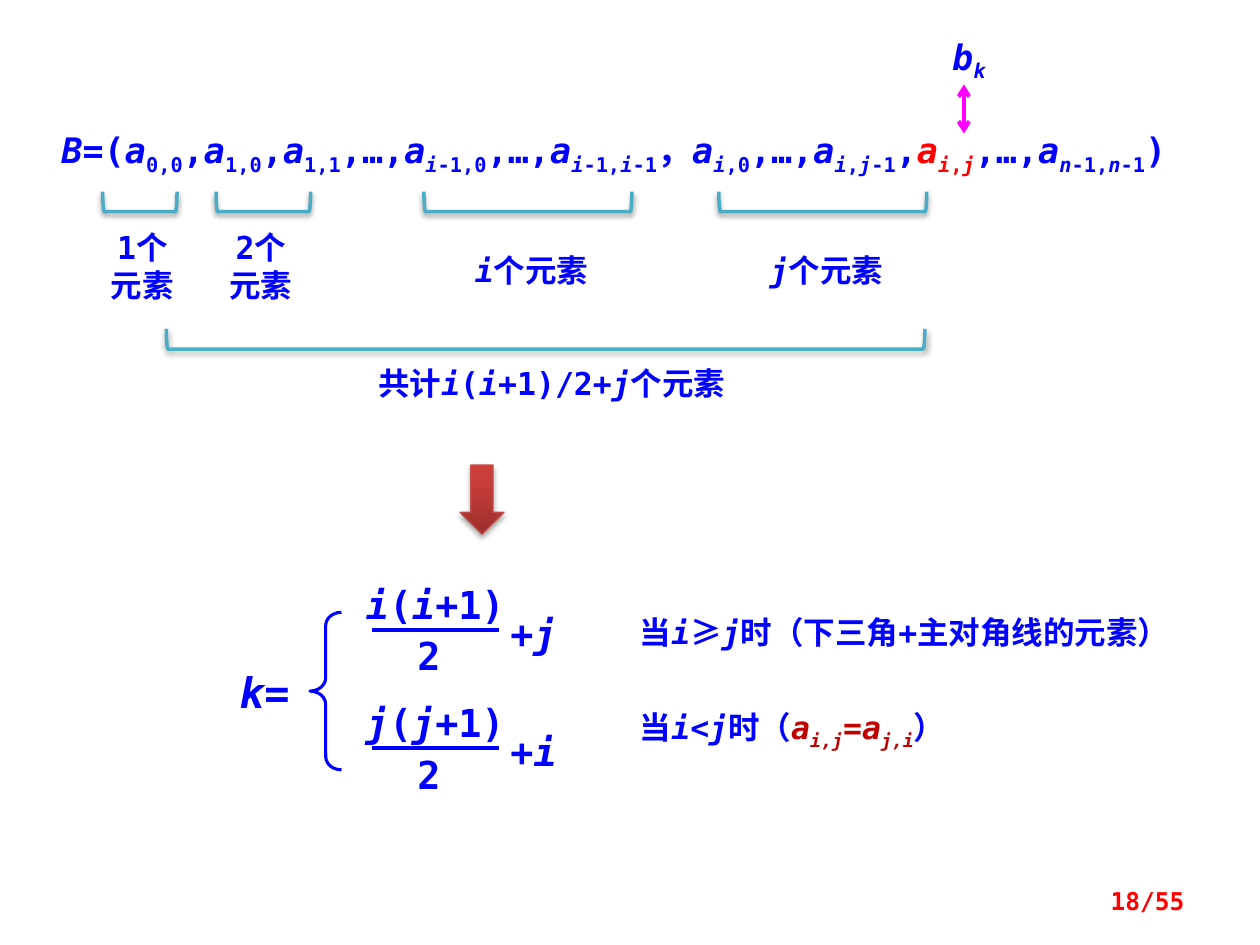
from itertools import groupby

from lxml import etree
from pptx import Presentation
from pptx.dml.color import RGBColor
from pptx.enum import shapes, text
from pptx.oxml.ns import qn
from pptx.util import Inches, Pt

MONO, CJK = "DejaVu Sans Mono", "Noto Sans CJK SC"
COLORS = {
    "blue": "0000FF", "red": "FF0000", "dark": "C00000", "pink": "FF00FF",
    "teal": "4BACC6", "edge": "BF4C48", "low": "9C2F2D", "high": "CB3E3A",
}
RGB = {name: RGBColor.from_string(code) for name, code in COLORS.items()}
ALIGN = text.PP_ALIGN

deck = Presentation()
deck.slide_width, deck.slide_height = Inches(10), Inches(7.5)
slide = deck.slides.add_slide(deck.slide_layouts[6])
items = slide.shapes


def write(left, top, width, height, size, mark, align=ALIGN.LEFT,
          color="blue", accent="red", inset=True):
    """Add a text box; in mark, * flips italic, _ subscript and ~ the accent."""
    box = items.add_textbox(Inches(left), Inches(top), Inches(width), Inches(height))
    frame = box.text_frame
    frame.word_wrap = True
    if not inset:
        frame.margin_left = frame.margin_right = 0
        frame.margin_top = frame.margin_bottom = 0
    for num, line in enumerate(mark.split("\n")):
        para = frame.add_paragraph() if num else frame.paragraphs[0]
        para.alignment = align
        state = set()
        for flips, chars in groupby(line, lambda char: char in "*_~"):
            if flips:
                state ^= set(chars)
                continue
            run = para.add_run()
            run.text = "".join(chars)
            font = run.font
            font.size, font.bold, font.italic = Pt(size), True, "*" in state
            font.color.rgb = RGB[accent if "~" in state else color]
            font.name = CJK if run.text == "≥" else MONO
            props = run.font._element
            etree.SubElement(props, qn("a:ea")).set("typeface", CJK)
            if "_" in state:
                props.set("baseline", "-25000")
    return box


def shade(shape, alpha, dist):
    """Cast a soft shadow straight down."""
    shape.shadow.inherit = False
    effects = shape._element.spPr.find(qn("a:effectLst"))
    cast = etree.SubElement(effects, qn("a:outerShdw"), blurRad=str(Pt(3.1)),
                            dist=str(Pt(dist)), dir="5400000", rotWithShape="0")
    black = etree.SubElement(cast, qn("a:srgbClr"), val="000000")
    etree.SubElement(black, qn("a:alpha"), val=str(alpha * 1000))


# Sequence B and the entry that b_k stands for
write(0.39, 0.97, 9.45, 0.44, 20,
      "*B*=(*a*_0,0_,*a*_1,0_,*a*_1,1_,…,*a_i*-1,0_,…,*a_i*-1,*i*-1_，"
      "*a_i*,0_,…,*a_i*,*j*-1_,~*a_i*,*j*_~,…,*a_n*-1,*n*-1_)")
write(7.34, 0.23, 0.7, 0.44, 20, "*b_k*", ALIGN.CENTER)

# Brackets (centre x, centre y, span) with labels (centre x, top, width, height)
DEPTH = 0.16
groups = [
    (1.11, 1.6, 0.59, 1.13, 1.76, 0.86, 0.71, "1个\n元素"),
    (2.09, 1.6, 0.75, 2.07, 1.76, 0.86, 0.71, "2个\n元素"),
    (4.19, 1.6, 1.65, 4.22, 1.94, 1.41, 0.4, "*i*个元素"),
    (6.53, 1.6, 1.65, 6.56, 1.94, 1.41, 0.4, "*j*个元素"),
    (4.33, 2.69, 6.02, 4.38, 2.84, 3.13, 0.4, "共计*i*(*i*+1)/2+*j*个元素"),
]
for mid, level, span, center, top, width, height, label in groups:
    bracket = items.add_shape(
        shapes.MSO_SHAPE.LEFT_BRACKET, Inches(mid - DEPTH / 2),
        Inches(level - span / 2), Inches(DEPTH), Inches(span))
    bracket.rotation = 270
    bracket.fill.background()
    bracket.line.color.rgb, bracket.line.width = RGB["teal"], Pt(2)
    shade(bracket, 38, 1.6)
    write(center - width / 2, top, width, height, 18, label, ALIGN.CENTER)

# Arrow down to the formula
arrow = items.add_shape(shapes.MSO_SHAPE.DOWN_ARROW, Inches(3.65), Inches(3.69),
                        Inches(0.35), Inches(0.55))
arrow.fill.gradient()
arrow.fill.gradient_angle = 90
for stop, place, tone in zip(arrow.fill.gradient_stops, (0, 0.8), ("low", "high")):
    stop.position, stop.color.rgb = place, RGB[tone]
arrow.line.color.rgb, arrow.line.width = RGB["edge"], Pt(0.75)
shade(arrow, 35, 1.8)

# Formula for k
write(1.8, 5.24, 0.67, 0.5, 24, "*k*=")
brace = items.add_shape(shapes.MSO_SHAPE.LEFT_BRACE, Inches(2.46), Inches(4.86),
                        Inches(0.25), Inches(1.25))
brace.adjustments[0] = 0.417
brace.fill.background()
brace.line.color.rgb, brace.line.width = RGB["blue"], Pt(1.75)
brace.shadow.inherit = False

lines = [(7.65, 0.67, 7.65, 1.06, "pink")]
for top, main, other in ((4.61, "i", "j"), (5.55, "j", "i")):
    for left, drop, width, part in (
            (2.87, 0, 1.17, f"*{main}*(*{main}*+1)"),
            (3.13, 0.41, 0.55, "2"),
            (3.96, 0.23, 0.55, f"+*{other}*")):
        write(left, top + drop, width, 0.37, 22, part, ALIGN.CENTER, inset=False)
    lines.append((2.95, top + 0.39, 3.96, top + 0.39, "blue"))

write(4.98, 4.82, 4.71, 0.4, 18, "当*i*≥*j*时（下三角+主对角线的元素）")
write(4.98, 5.57, 2.97, 0.4, 18, "当*i*<*j*时（~*a_i,j_*=*a_j,i_*~）", accent="dark")

# Fraction bars and the double arrow
for left, top, right, bottom, color in lines:
    line = items.add_connector(shapes.MSO_CONNECTOR.STRAIGHT, Inches(left),
                               Inches(top), Inches(right), Inches(bottom))
    line.line.color.rgb, line.line.width = RGB[color], Pt(2.25)
    if color == "pink":
        for end in ("a:headEnd", "a:tailEnd"):
            etree.SubElement(line.line._get_or_add_ln(), qn(end), type="arrow")
    etree.SubElement(line._element.spPr, qn("a:effectLst"))

page = write(7.17, 6.95, 2.33, 0.4, 14, "18/55", ALIGN.RIGHT, "red")
page.text_frame.vertical_anchor = text.MSO_ANCHOR.MIDDLE

deck.save("out.pptx")
